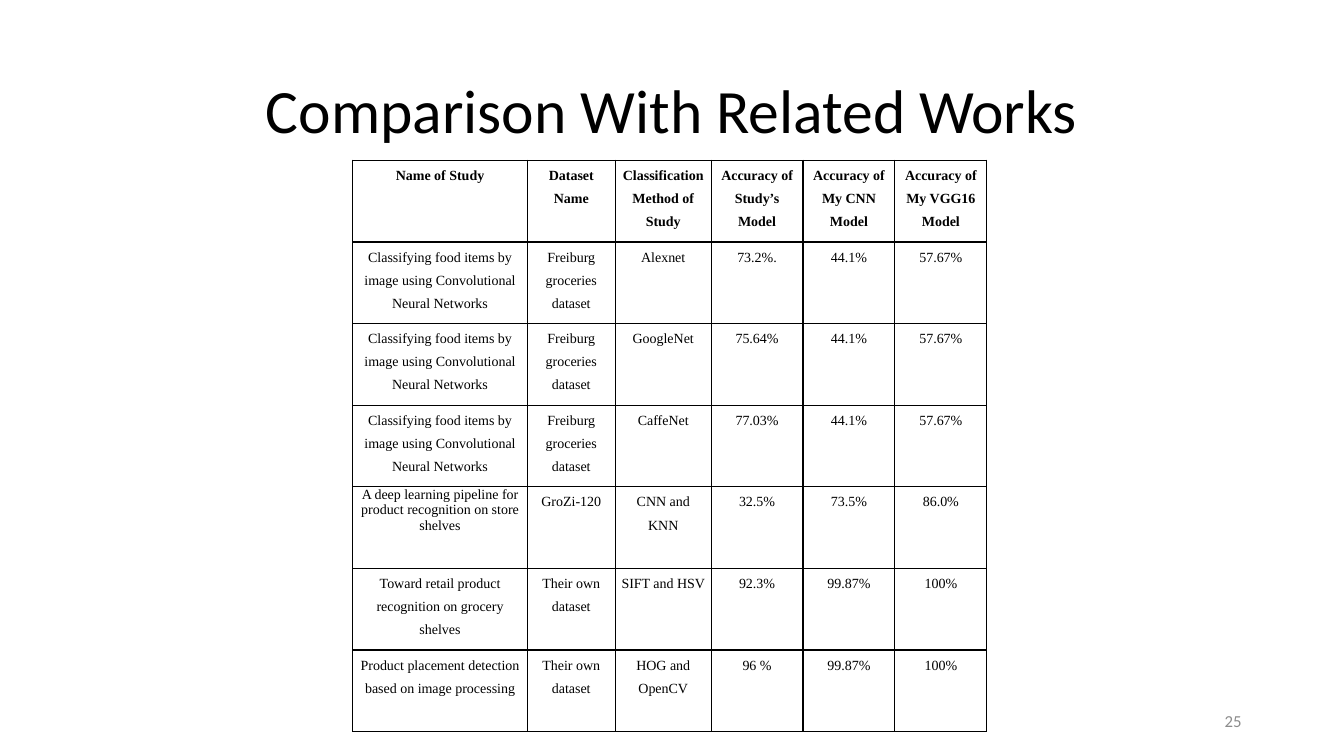
from lxml.etree import SubElement
from pptx import Presentation
from pptx.dml.color import RGBColor
from pptx.enum.text import MSO_ANCHOR as Anchor, PP_ALIGN as Align
from pptx.oxml.ns import qn
from pptx.util import Inches, Pt

BLACK = RGBColor(0x00, 0x00, 0x00)
GREY = RGBColor(0x8C, 0x8C, 0x8C)

FOOD = "Classifying food items by image using Convolutional Neural Networks"
FREIBURG = "Freiburg groceries dataset"
OWN = "Their own dataset"
HEADER = ["Name of Study", "Dataset Name", "Classification Method of Study",
          "Accuracy of Study’s Model", "Accuracy of My CNN Model",
          "Accuracy of My VGG16 Model"]
PIPELINE = "A deep learning pipeline for product recognition on store shelves"
STUDIES = [
    *([FOOD, FREIBURG, method, accuracy, "44.1%", "57.67%"]
      for method, accuracy in [("Alexnet", "73.2%."), ("GoogleNet", "75.64%"),
                               ("CaffeNet", "77.03%")]),
    [PIPELINE, "GroZi-120", "CNN and KNN", "32.5%", "73.5%", "86.0%"],
    ["Toward retail product recognition on grocery shelves", OWN,
     "SIFT and HSV", "92.3%", "99.87%", "100%"],
    ["Product placement detection based on image processing", OWN,
     "HOG and OpenCV", "96 %", "99.87%", "100%"],
]


class Deck:
    """Holds the style and the current slide, on a grid of 160 columns by 90 rows."""

    heading_font = "Calibri"
    table_font = "Times New Roman"

    def __init__(self):
        self.prs = Presentation()
        self.prs.slide_width, self.prs.slide_height = Inches(13.33), Inches(7.5)
        self.s = self.prs.slides.add_slide(self.prs.slide_layouts[5])

    def x(self, cols):
        return round(self.prs.slide_width * cols / 160)

    def y(self, rows):
        return round(self.prs.slide_height * rows / 90)

    def box(self, col, row, cols, rows):
        return self.x(col), self.y(row), self.x(cols), self.y(rows)

    def text(self, tf, text, font, size, color=BLACK, align=Align.CENTER, bold=False):
        tf.word_wrap = True
        p = tf.paragraphs[0]
        p.text, p.alignment = text, align
        p.font.name, p.font.size, p.font.bold = font, Pt(size), bold
        p.font.color.rgb = color
        return p

    def title(self, text, *area):
        sp = self.s.shapes.title
        sp.left, sp.top, sp.width, sp.height = self.box(*area)
        sp.text_frame.vertical_anchor = Anchor.MIDDLE
        self.text(sp.text_frame, text, self.heading_font, 44).line_spacing = 0.9

    def page_number(self, text, *area):
        tf = self.s.shapes.add_textbox(*self.box(*area)).text_frame
        tf.vertical_anchor = Anchor.MIDDLE
        self.text(tf, text, self.heading_font, 12, GREY, Align.RIGHT)

    def borders(self, cell):
        tc_pr = cell._tc.get_or_add_tcPr()
        for side in ("a:lnL", "a:lnR", "a:lnT", "a:lnB"):
            ln = SubElement(tc_pr, qn(side), w=str(Pt(1)))
            fill = SubElement(ln, qn("a:solidFill"))
            SubElement(fill, qn("a:srgbClr"), val=str(BLACK))

    def cell(self, cell, text, bold, spacing):
        cell.margin_left = cell.margin_right = Inches(0.06)
        cell.margin_top = cell.margin_bottom = 0
        self.borders(cell)
        cell.fill.background()
        p = self.text(cell.text_frame, text, self.table_font, 10, bold=bold)
        p.line_spacing, p.space_after = spacing, Pt(12)

    def table(self, data, col, row, widths, height):
        area = self.box(col, row, sum(widths), height * len(data))
        table = self.s.shapes.add_table(len(data), len(widths), *area).table
        table.first_row = table.horz_banding = False
        for column, width in zip(table.columns, widths):
            column.width = self.x(width)
        for i, texts in enumerate(data):
            table.rows[i].height = self.y(height)
            for j, text in enumerate(texts):
                spacing = 1.0 if text == PIPELINE else 1.5
                self.cell(table.cell(i, j), text, i == 0, spacing)


def main():
    deck = Deck()
    deck.title("Comparison With Related Works", 11, 4.8, 138, 17.4)
    deck.table([HEADER, *STUDIES], 42, 19.08,
               [20.76, 10.5, 11.4] + [10.94] * 3, 9.72)
    deck.page_number("25", 113, 83.4, 36, 4.8)
    deck.prs.save("out.pptx")


if __name__ == "__main__":
    main()
